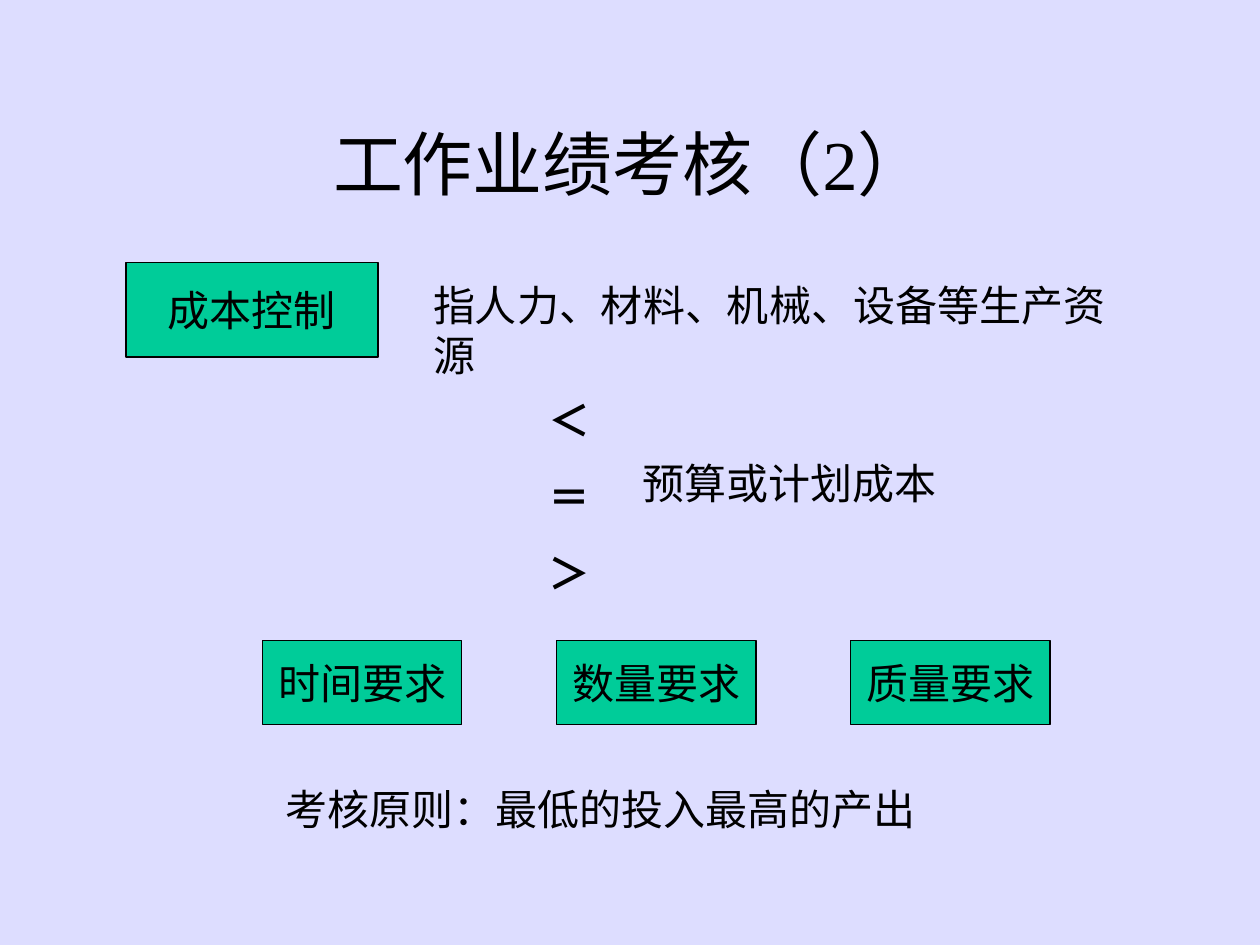
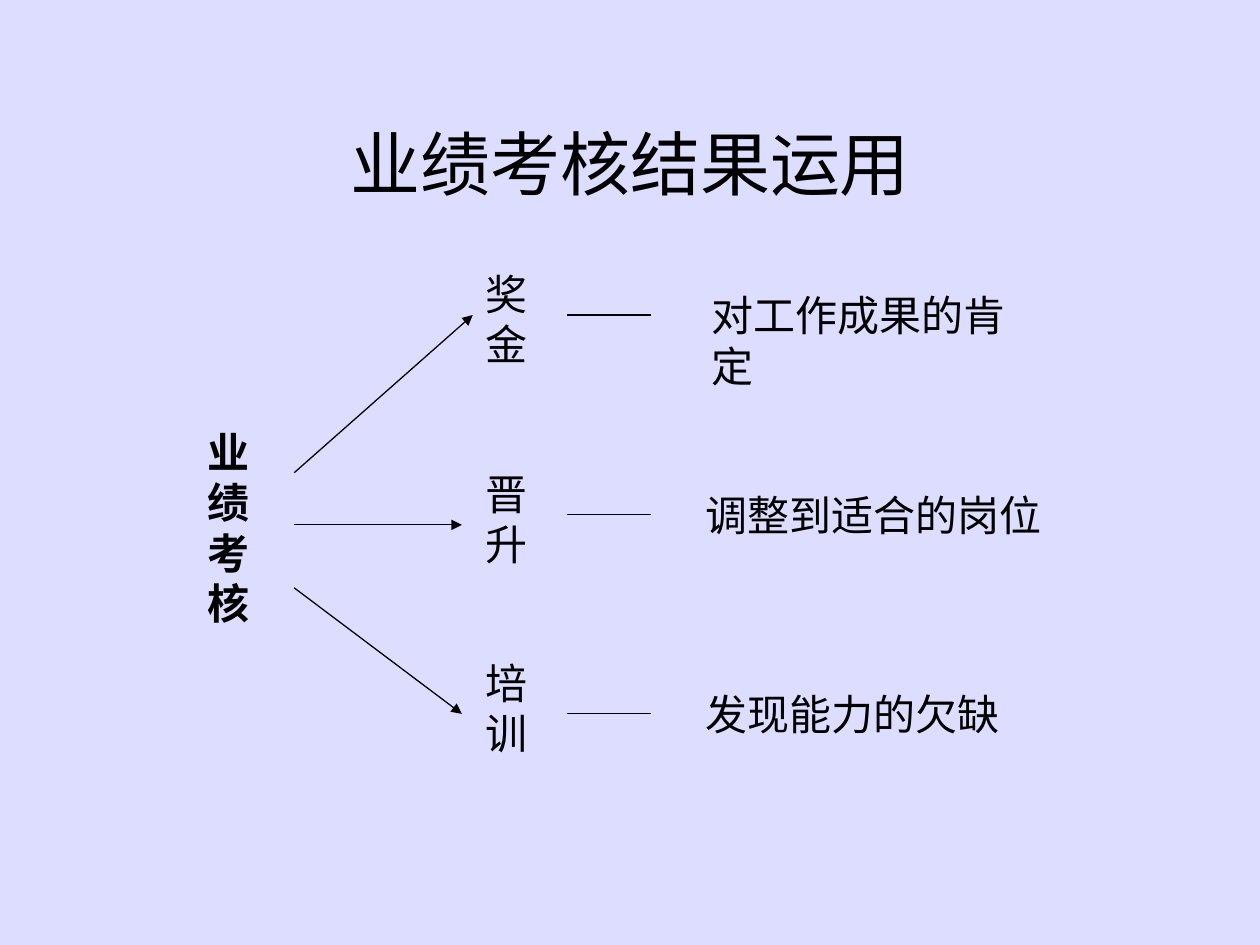
from dataclasses import dataclass

from lxml.etree import SubElement
from pptx import Presentation
from pptx.dml.color import RGBColor
from pptx.enum.lang import MSO_LANGUAGE_ID
from pptx.enum.shapes import MSO_CONNECTOR, MSO_SHAPE
from pptx.enum.text import MSO_ANCHOR, MSO_AUTO_SIZE, PP_ALIGN
from pptx.oxml.ns import qn
from pptx.slide import Slide
from pptx.text.text import TextFrame
from pptx.util import Cm, Pt


@dataclass(frozen=True)
class Theme:
    background: RGBColor = RGBColor(0xDD, 0xDD, 0xFF)
    box_fill: RGBColor = RGBColor(0x00, 0xCC, 0x99)
    ink: RGBColor = RGBColor(0x00, 0x00, 0x00)
    font: str = "Times New Roman"
    title_size: Pt = Pt(40)
    body_size: Pt = Pt(24)
    line_width: Pt = Pt(0.75)


THEME = Theme()
TITLE_ONLY_LAYOUT = 5
ROW_HEIGHT = 1.27  # one line of body text, in centimetres


@dataclass(frozen=True)
class Label:
    """Text with its place in centimetres; each line is a paragraph."""
    lines: tuple[str, ...]
    left: float
    top: float
    width: float
    height: float = ROW_HEIGHT
    bold: bool = False
    wrap: bool = False
    gap: float = 0


@dataclass(frozen=True)
class Line:
    """Straight line between two points in centimetres."""
    start: tuple[float, float]
    end: tuple[float, float]
    arrow: bool = False


@dataclass(frozen=True)
class Outcome:
    """One use of the appraisal result, with its explanation."""
    term: str
    term_top: float
    arrow_start: float
    arrow_end: tuple[float, float]
    meaning: str
    meaning_left: float
    meaning_width: float
    wrap: bool


def apply_format(target: object, values: dict[str, object]) -> None:
    for name, value in values.items():
        setattr(target, name, value)


def write_lines(frame: TextFrame, lines: tuple[str, ...], size: Pt,
                alignment: PP_ALIGN, bold: bool = False, gap: float = 0) -> None:
    for index, text in enumerate(lines):
        paragraph = frame.add_paragraph() if index else frame.paragraphs[0]
        apply_format(paragraph, {"alignment": alignment,
                                 "space_before": Pt(gap if index else 0)})
        run = paragraph.add_run()
        run.text = text
        apply_format(run.font, {"name": THEME.font, "size": size, "bold": bold,
                                "language_id": MSO_LANGUAGE_ID.SIMPLIFIED_CHINESE})
        run.font.color.rgb = THEME.ink


def add_titled_slide(presentation: Presentation, title: str) -> Slide:
    slide = presentation.slides.add_slide(presentation.slide_layouts[TITLE_ONLY_LAYOUT])
    shape = slide.shapes.title
    apply_format(shape, {"left": Cm(1.91), "top": Cm(1.69),
                         "width": Cm(21.59), "height": Cm(3.18)})
    apply_format(shape.text_frame, {"vertical_anchor": MSO_ANCHOR.MIDDLE,
                                    "auto_size": MSO_AUTO_SIZE.NONE})
    write_lines(shape.text_frame, (title,), THEME.title_size, PP_ALIGN.CENTER)
    return slide


def add_label(slide: Slide, label: Label) -> None:
    shape = slide.shapes.add_textbox(Cm(label.left), Cm(label.top),
                                     Cm(label.width), Cm(label.height))
    apply_format(shape.text_frame, {"word_wrap": label.wrap,
                                    "auto_size": MSO_AUTO_SIZE.SHAPE_TO_FIT_TEXT})
    write_lines(shape.text_frame, label.lines, THEME.body_size, PP_ALIGN.LEFT,
                label.bold, label.gap)


def add_box(slide: Slide, label: Label) -> None:
    shape = slide.shapes.add_shape(MSO_SHAPE.RECTANGLE, Cm(label.left), Cm(label.top),
                                   Cm(label.width), Cm(label.height))
    shape.shadow.inherit = False
    shape.fill.solid()
    shape.fill.fore_color.rgb = THEME.box_fill
    shape.line.color.rgb = THEME.ink
    shape.line.width = THEME.line_width
    apply_format(shape.text_frame, {"word_wrap": label.wrap,
                                    "vertical_anchor": MSO_ANCHOR.MIDDLE})
    write_lines(shape.text_frame, label.lines, THEME.body_size, PP_ALIGN.CENTER)


def add_line(slide: Slide, line: Line) -> None:
    points = [Cm(value) for value in (*line.start, *line.end)]
    connector = slide.shapes.add_connector(MSO_CONNECTOR.STRAIGHT, *points)
    connector.line.color.rgb = THEME.ink
    connector.line.width = THEME.line_width
    if line.arrow:
        SubElement(connector.line._get_or_add_ln(), qn("a:tailEnd"), type="triangle")
    SubElement(connector._element.spPr, qn("a:effectLst"))


def build_cost_slide(presentation: Presentation) -> None:
    slide = add_titled_slide(presentation, "工作业绩考核（2）")

    # Cost control and what it is compared with
    add_box(slide, Label(("成本控制",), 2.54, 5.29, 5.08, 1.91))
    for label in (
        Label(("预算或计划成本",), 12.7, 9.1, 6.99, wrap=True),
        Label(("指人力、材料、机械、设备等生产资源",), 8.48, 5.5, 14.88),
        Label(("＜", "＝", "＞"), 10.8, 7.83, 1.47, 4.37, bold=True, wrap=True, gap=15),
        Label(("考核原则：最低的投入最高的产出",), 5.51, 15.66, 13.2),
    ):
        add_label(slide, label)

    # Row of requirements
    for index, requirement in enumerate(("时间要求", "数量要求", "质量要求")):
        add_box(slide, Label((requirement,), 5.29 + 5.93 * index, 12.91, 4.02, 1.69))


def build_outcome_slide(presentation: Presentation) -> None:
    slide = add_titled_slide(presentation, "业绩考核结果运用")
    add_label(slide, Label(tuple("业绩考核"), 3.94, 8.47, 1.34, 4.32, bold=True))

    outcomes = (
        Outcome("奖金", 5.29, 9.53, (9.53, 6.35), "对工作成果的肯定", 14.1, 7.26, False),
        Outcome("晋升", 9.31, 10.58, (9.31, 10.58), "调整到适合的岗位", 13.97, 7.62, True),
        Outcome("培训", 13.12, 11.85, (9.31, 14.39), "发现能力的欠缺", 13.97, 6.55, True),
    )
    # Each row: arrow, vertical term, dash, meaning
    for index, outcome in enumerate(outcomes):
        middle = 6.35 + 4.02 * index
        add_line(slide, Line((5.93, outcome.arrow_start), outcome.arrow_end, arrow=True))
        add_label(slide, Label(tuple(outcome.term), 9.53, outcome.term_top, 1.34, 2.28))
        add_line(slide, Line((11.43, middle), (13.12, middle)))
        add_label(slide, Label((outcome.meaning,), outcome.meaning_left,
                               middle - ROW_HEIGHT / 2, outcome.meaning_width,
                               wrap=outcome.wrap))


def main() -> None:
    presentation = Presentation()
    apply_format(presentation, {"slide_width": Cm(25.4), "slide_height": Cm(19.05)})
    background = presentation.slide_master.background.fill
    background.solid()
    background.fore_color.rgb = THEME.background
    build_cost_slide(presentation)
    build_outcome_slide(presentation)
    presentation.save("out.pptx")


if __name__ == "__main__":
    main()
